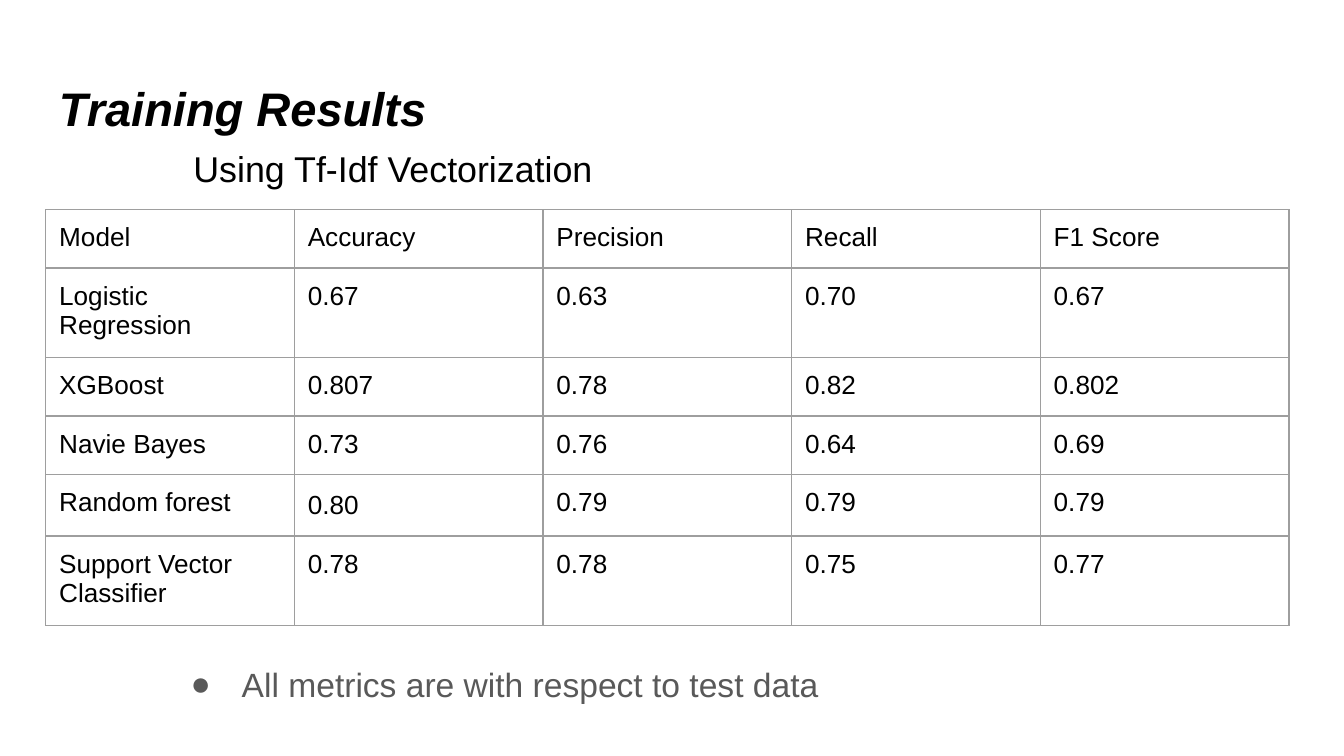
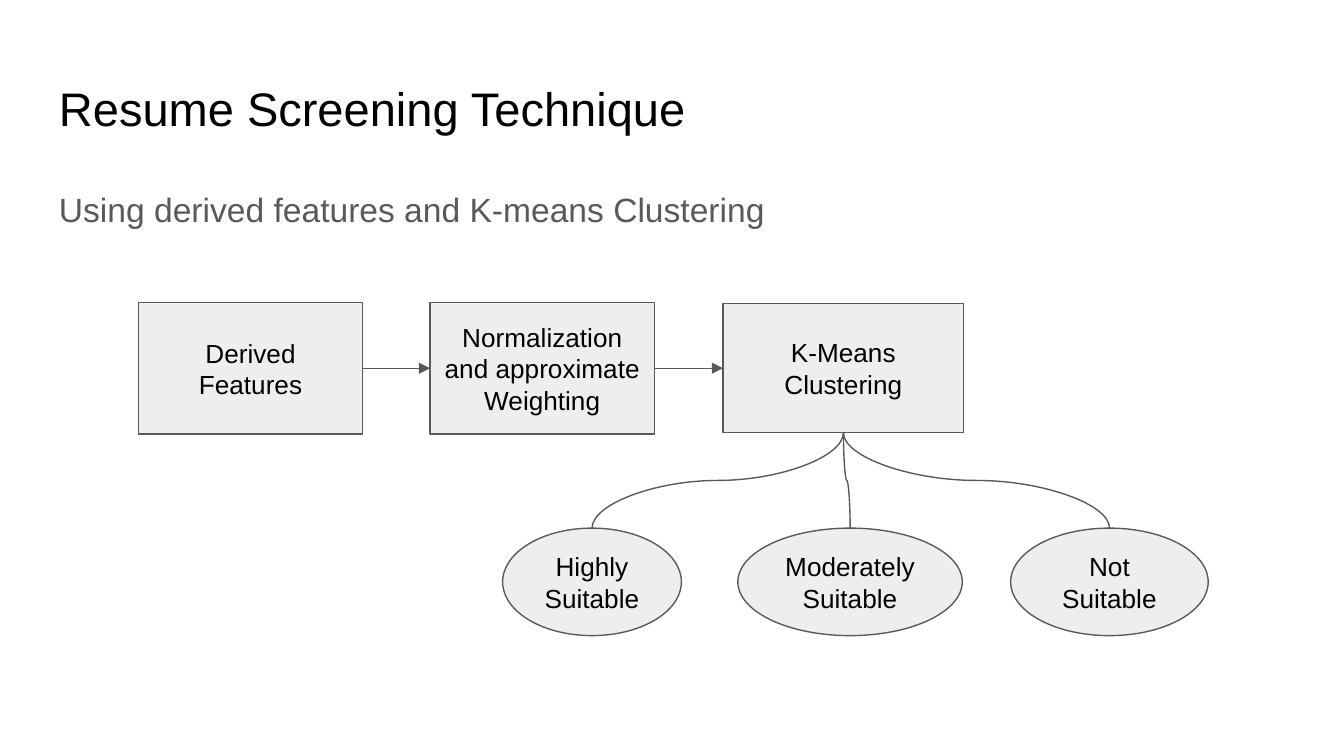
from lxml import etree
from pptx import Presentation
from pptx.dml.color import RGBColor
from pptx.enum.shapes import MSO_CONNECTOR, MSO_SHAPE
from pptx.enum.text import MSO_ANCHOR, PP_ALIGN
from pptx.oxml.ns import qn
from pptx.util import Inches, Pt

BLACK = RGBColor(0x00, 0x00, 0x00)
GRAY = RGBColor(0x59, 0x59, 0x59)
PALE = RGBColor(0xEE, 0xEE, 0xEE)
BORDER = RGBColor(0x9E, 0x9E, 0x9E)
FONT = "Arial"
INSET = Inches(0.1)
LINE_WIDTH = Pt(0.75)

STRAIGHT, CURVE = MSO_CONNECTOR.STRAIGHT, MSO_CONNECTOR.CURVE
RECTANGLE, OVAL = MSO_SHAPE.RECTANGLE, MSO_SHAPE.OVAL
LEFT, CENTER = PP_ALIGN.LEFT, PP_ALIGN.CENTER
TOP, MIDDLE = MSO_ANCHOR.TOP, MSO_ANCHOR.MIDDLE
SIDE_LEFT, SIDE_RIGHT = 1, 3

TITLE_BOX = (0.34, 0.49, 9.32, 0.63)
RESULTS = [
    ("Model", "Accuracy", "Precision", "Recall", "F1 Score"),
    ("Logistic Regression", "0.67", "0.63", "0.70", "0.67"),
    ("XGBoost", "0.807", "0.78", "0.82", "0.802"),
    ("Navie Bayes", "0.73", "0.76", "0.64", "0.69"),
    ("Random forest", "0.80", "0.79", "0.79", "0.79"),
    ("Support Vector Classifier", "0.78", "0.78", "0.75", "0.77"),
]
STEPS = [
    ("Derived Features", (0, 0, 1.67, 0.98)),
    ("Normalization and approximate Weighting", (2.17, 0, 1.67, 0.98)),
    ("K-Means Clustering", (4.35, 0.01, 1.79, 0.96)),
]
CLUSTERS = [
    ("Highly Suitable", 2.71, 1.33),
    ("Moderately Suitable", 4.46, 1.67),
    ("Not Suitable", 6.49, 1.47),
]
CLUSTER_TOP, CLUSTER_HEIGHT = 1.68, 0.8


def inches(*values):
    return [Inches(value) for value in values]


def write(para, text, size=14, color=BLACK, bold=False, italic=False,
          align=LEFT, spacing=None, after=None):
    """Add text to a paragraph in the given format."""
    para.alignment = align
    if spacing:
        para.line_spacing = spacing
    if after:
        para.space_after = Pt(after)
    span = para.add_run()
    span.text = text
    font = span.font
    font.name, font.size, font.color.rgb = FONT, Pt(size), color
    font.bold, font.italic = bold, italic


def set_frame(frame, anchor=TOP):
    frame.word_wrap = True
    frame.vertical_anchor = anchor
    frame.margin_left = frame.margin_right = INSET
    frame.margin_top = frame.margin_bottom = INSET


def add_text(page, box, text, **style):
    frame = page.shapes.add_textbox(*inches(*box)).text_frame
    set_frame(frame)
    write(frame.paragraphs[0], text, **style)
    return frame


def add_title(page, text, **style):
    return add_text(page, TITLE_BOX, text, size=25.2, **style)


def set_tab_stop(para, position):
    stops = etree.SubElement(para._p.get_or_add_pPr(), qn("a:tabLst"))
    etree.SubElement(stops, qn("a:tab"), pos=str(Inches(position)), algn="l")


def set_bullet(para, mark, size, color, margin, indent):
    props = para._p.get_or_add_pPr()
    props.set("marL", str(Inches(margin)))
    props.set("indent", str(Inches(indent)))
    tint = etree.SubElement(props, qn("a:buClr"))
    etree.SubElement(tint, qn("a:srgbClr"), val=str(color))
    etree.SubElement(props, qn("a:buSzPts"), val=str(size * 100))
    etree.SubElement(props, qn("a:buFont"), typeface=FONT)
    etree.SubElement(props, qn("a:buChar"), char=mark)


def set_borders(cell):
    props = cell._tc.get_or_add_tcPr()
    for index, side in enumerate(("lnL", "lnR", "lnT", "lnB")):
        line = etree.Element(qn("a:" + side), w=str(LINE_WIDTH))
        fill = etree.SubElement(line, qn("a:solidFill"))
        etree.SubElement(fill, qn("a:srgbClr"), val=str(BORDER))
        props.insert(index, line)


def add_results_table(page, box, column_width=1.85, row_height=0.42):
    holder = page.shapes.add_table(len(RESULTS), len(RESULTS[0]), *inches(*box))
    table = holder.table
    table.first_row = table.horz_banding = False
    for column in table.columns:
        column.width = Inches(column_width)
    for row in table.rows:
        row.height = Inches(row_height)
    # Resizing rows and columns also resizes the holder, so its size comes last.
    holder.width, holder.height = inches(*box[2:])
    for row, values in enumerate(RESULTS):
        for column, value in enumerate(values):
            cell = table.cell(row, column)
            cell.fill.background()
            set_borders(cell)
            cell.margin_left = cell.margin_right = INSET
            cell.margin_top = cell.margin_bottom = INSET
            spacing = 1.11 if value == "0.80" else None
            write(cell.text_frame.paragraphs[0], value, spacing=spacing)


def add_node(page, kind, box, text):
    node = page.shapes.add_shape(kind, *inches(*box))
    node.shadow.inherit = False
    node.fill.solid()
    node.fill.fore_color.rgb = PALE
    node.line.color.rgb = GRAY
    node.line.width = LINE_WIDTH
    set_frame(node.text_frame, MIDDLE)
    write(node.text_frame.paragraphs[0], text, align=CENTER)
    return node


def add_line(page, kind, *ends):
    line = page.shapes.add_connector(kind, *ends)
    line.line.color.rgb = GRAY
    line.line.width = LINE_WIDTH
    etree.SubElement(line._element.spPr, qn("a:effectLst"))
    return line


def add_arrow(page, source, target):
    arrow = add_line(page, STRAIGHT, 0, 0, 0, 0)
    arrow.begin_connect(source, SIDE_RIGHT)
    arrow.end_connect(target, SIDE_LEFT)
    etree.SubElement(arrow.line._get_or_add_ln(), qn("a:tailEnd"), type="triangle")


def add_branch(page, parent, child):
    """Draw an S-curve from the bottom of parent to the top of child."""
    start_x, start_y = parent.left + parent.width // 2, parent.top + parent.height
    end_x, end_y = child.left + child.width // 2, child.top
    middle_x, middle_y = (start_x + end_x) // 2, (start_y + end_y) // 2
    half_width, half_drop = abs(end_x - start_x) // 2, (end_y - start_y) // 2
    # The preset curve runs sideways, so it is laid flat and then turned.
    rightward = end_x > start_x
    reach = -half_drop if rightward else half_drop
    branch = add_line(page, CURVE, middle_x - reach, middle_y - half_width,
                      middle_x + reach, middle_y + half_width)
    turn = 270 if rightward else 90
    branch._element.spPr.find(qn("a:xfrm")).set("rot", str(turn * 60000))


def add_flow(page, left, top):
    steps = [add_node(page, RECTANGLE, (left + x, top + y, width, height), text)
             for text, (x, y, width, height) in STEPS]
    clusters = [add_node(page, OVAL, (left + x, top + CLUSTER_TOP, width,
                                      CLUSTER_HEIGHT), text)
                for text, x, width in CLUSTERS]
    for source, target in zip(steps, steps[1:]):
        add_arrow(page, source, target)
    for cluster in clusters:
        add_branch(page, steps[-1], cluster)


def build_results(page):
    title = add_title(page, "Training Results", bold=True, italic=True)
    subtitle = title.add_paragraph()
    write(subtitle, "\t", size=25.2)
    write(subtitle, "Using Tf-Idf Vectorization", size=19.2)
    set_tab_stop(subtitle, 1)
    add_results_table(page, (0.34, 1.56, 3.28, 3.28))
    note = add_text(page, (1.2, 4.84, 7.59, 0.45),
                    "All metrics are with respect to test data", size=18, color=GRAY)
    set_bullet(note.paragraphs[0], "●", 18, GRAY, margin=0.5, indent=-0.38)


def build_technique(page):
    add_title(page, "Resume Screening Technique")
    add_text(page, (0.34, 1.26, 9.32, 3.74),
             "Using derived features and K-means Clustering",
             size=18, color=GRAY, spacing=1.15, after=12)
    add_flow(page, 1.03, 2.25)


def main():
    deck = Presentation()
    deck.slide_width = Inches(10)
    deck.slide_height = deck.slide_width * 9 // 16
    blank = deck.slide_layouts[6]
    for build in (build_results, build_technique):
        build(deck.slides.add_slide(blank))
    deck.save("out.pptx")


if __name__ == "__main__":
    main()
